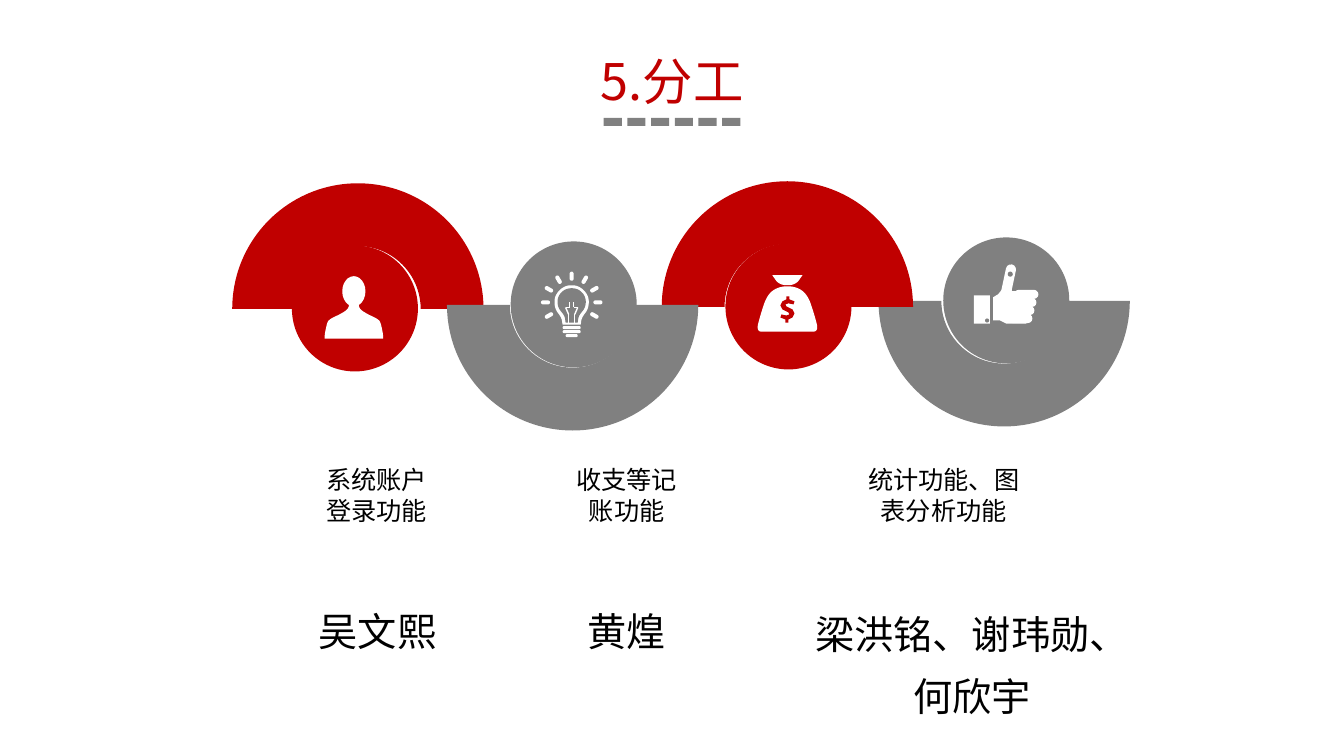
from itertools import pairwise
from math import cos, radians, sin

from lxml.etree import SubElement
from pptx import Presentation
from pptx.chart.data import CategoryChartData
from pptx.dml.color import RGBColor
from pptx.enum.chart import XL_CHART_TYPE as Chart
from pptx.enum.shapes import MSO_CONNECTOR as Link, MSO_SHAPE as Shape
from pptx.enum.text import MSO_AUTO_SIZE as Fit, PP_ALIGN as Align
from pptx.oxml import parse_xml
from pptx.oxml.ns import nsdecls, qn
from pptx.util import Inches, Pt

HEX = {"red": "C00000", "gray": "808080", "white": "FFFFFF", "black": "000000"}
RGB = {name: RGBColor.from_string(code) for name, code in HEX.items()}
FONT = "Noto Sans CJK SC"
PILL, OVAL, RECT = Shape.ROUNDED_RECTANGLE, Shape.OVAL, Shape.RECTANGLE

deck = Presentation()
deck.slide_width, deck.slide_height = Inches(13.33), Inches(7.5)
slide = deck.slides.add_slide(deck.slide_layouts[6])
shapes = slide.shapes


def draw(form, x, y, color, wide=0, high=0, turn=0):
    """Draw a preset centred on x, y, or a list of points measured from x, y."""
    if isinstance(form, list):
        dots = [(Inches(x + dx), Inches(y + dy)) for dx, dy in form]
        pen = shapes.build_freeform(*dots[0], scale=1.0)
        pen.add_line_segments(dots[1:], close=True)
        shape = pen.convert_to_shape()
    else:
        shape = shapes.add_shape(form, Inches(x - wide / 2), Inches(y - high / 2),
                                 Inches(wide), Inches(high))
        if form == PILL:
            shape.adjustments[0] = 0.5
        shape.rotation = turn
    shape.shadow.inherit = False
    shape.fill.solid()
    shape.fill.fore_color.rgb = RGB[color]
    shape.line.fill.background()


def mirror(half):
    """Close a right-hand profile with its reflection and round the corners.

    A point given twice stays sharp.
    """
    dots = half + [(-x, y) for x, y in reversed(half)]
    for _ in range(3):
        dots = [(a[0] + (b[0] - a[0]) * t, a[1] + (b[1] - a[1]) * t)
                for a, b in pairwise(dots + dots[:1]) for t in (0.25, 0.75)]
    return dots


# Half rings, each with a disc: the gray ones hang, the red ones arch
LAYOUT = (
    f'<c:layout {nsdecls("c")}><c:manualLayout><c:layoutTarget val="inner"/>'
    '<c:xMode val="edge"/><c:yMode val="edge"/><c:x val="0.2"/><c:y val="0.05"/>'
    '<c:w val="0.6"/><c:h val="0.9"/></c:manualLayout></c:layout>'
)
CLEAR = f'<c:spPr {nsdecls("c", "a")}><a:noFill/><a:ln><a:noFill/></a:ln></c:spPr>'
DISC = 1.25
badges = {
    "thumb": (7.88, 1.6, 9.98, 2.98, "gray"),
    "person": (1.47, 1.68, 3.52, 3.06, "red"),
    "purse": (5.73, 1.66, 7.82, 3.04, "red"),
    "bulb": (3.6, 1.64, 5.69, 3.02, "gray"),
}
for left, top, x, y, color in badges.values():
    data = CategoryChartData()
    data.categories = ["1", "2"]
    data.add_series("Series 1", (50, 50))
    chart = shapes.add_chart(Chart.DOUGHNUT, Inches(left), Inches(top),
                             Inches(4.16), Inches(2.77), data).chart
    chart.has_legend = chart.has_title = False
    for key, value in {"name": "Calibri", "size": Pt(10)}.items():
        setattr(chart.font, key, value)
    chart.font.color.rgb = RGB["black"]
    root = chart.element
    for tag, value in {"c:firstSliceAng": "90", "c:holeSize": "73"}.items():
        next(root.iter(qn(tag))).set("val", value)
    area = next(root.iter(qn("c:plotArea")))
    for old in area.findall(qn("c:layout")):
        area.remove(old)
    area.insert(0, parse_xml(LAYOUT))
    root.find(qn("c:chart")).addnext(parse_xml(CLEAR))
    for i, side in enumerate(("gray", "red")):
        form = chart.plots[0].series[0].points[i].format
        form.line.fill.background()
        if side == color:
            form.fill.solid()
            form.fill.fore_color.rgb = RGB[color]
        else:
            form.fill.background()
    draw(OVAL, x, y, color, DISC, DISC)

# Thumb: cuff with a button, palm, thumb with a nail, four fingers
x, y = badges["thumb"][2:4]
palm = [(-0.13, -0.03), (-0.08, -0.06), (-0.04, -0.11), (0, -0.2), (0.06, -0.09),
        (0.2, -0.09), (0.2, 0.23), (0, 0.23), (-0.06, 0.2), (-0.13, 0.2)]
draw(RECT, x - 0.24, y + 0.09, "white", 0.16, 0.28)
draw(OVAL, x - 0.19, y + 0.2, "gray", 0.04, 0.04)
draw(palm, x, y, "white")
draw(PILL, x + 0.02, y - 0.18, "white", 0.1, 0.36, 12)
draw(OVAL, x + 0.04, y - 0.26, "gray", 0.05, 0.05)
for i in range(4):
    draw(PILL, x + 0.2 - 0.02 * i, y - 0.06 + 0.08 * i, "white", 0.24, 0.09)

# Person: head over shoulders
x, y = badges["person"][2:4]
torso = [(0.05, -0.06), (0.05, 0), (0.12, 0.05), (0.25, 0.11), (0.27, 0.16),
         (0.29, 0.26), (0.29, 0.3), (0.29, 0.3)]
draw(OVAL, x - 0.01, y - 0.17, "white", 0.23, 0.3)
draw(mirror(torso), x - 0.01, y, "white")

# Purse: tie over bag, and a dollar sign whose half turns into the other half
x, y = badges["purse"][2:4]
tie = [(0.15, -0.31), (0.15, -0.31), (0.08, -0.21)]
bag = [(0.08, -0.2), (0.2, -0.12), (0.27, 0.09), (0.31, 0.25), (0.2, 0.25)]
for part in (tie, bag):
    draw(mirror(part), x - 0.01, y, "white")
hook = [(0.01, 0.1), (0.01, 0.13), (-0.02, 0.13), (-0.02, 0.1), (-0.07, 0.08),
        (-0.06, 0.05), (-0.01, 0.06), (0.02, 0.05), (0.01, 0.03), (-0.05, 0),
        (-0.07, -0.04), (-0.05, -0.08)]
draw(hook + [(-dx, -dy) for dx, dy in hook], x - 0.01, y + 0.03, "red")

# Bulb: glass, filament, socket bars, and a ray at every 30 degrees
x, y = badges["bulb"][2] - 0.02, badges["bulb"][3]
glass = [(0.07, -0.19), (0.17, -0.09), (0.17, 0.04), (0.1, 0.13), (0.09, 0.2), (0.09, 0.2)]
hollow = [(0.06, -0.16), (0.14, -0.08), (0.14, 0.03), (0.07, 0.11), (0.06, 0.18), (0.06, 0.18)]
draw(mirror(glass), x, y, "white")
draw(mirror(hollow), x, y, "gray")
wire = [(0.02, -0.02), (0.02, 0.03), (0.06, 0.03), (0.03, 0.1), (0.03, 0.18)]
for side in (-1, 1):
    for (ax, ay), (bx, by) in pairwise(wire):
        line = shapes.add_connector(Link.STRAIGHT, Inches(x + side * ax), Inches(y + ay),
                                    Inches(x + side * bx), Inches(y + by))
        line.line.color.rgb = RGB["white"]
        line.line.width = Pt(1)
        SubElement(line._element.spPr, qn("a:effectLst"))
for i, wide in enumerate((0.18, 0.18, 0.12)):
    draw(PILL, x, y + 0.23 + 0.04 * i, "white", wide, 0.03)
for angle in range(-30, 211, 30):
    turn = radians(angle)
    draw(PILL, x + 0.26 * cos(turn), y - 0.02 - 0.26 * sin(turn), "white", 0.09, 0.04, -angle)

# Title, tasks and names
texts = [
    ("系统账户登录功能", 3.07, 4.56, 1.33, 0.71, 18, "black", 1),
    ("吴文熙", 2.81, 5.84, 1.87, 0.67, 28, "black", 1.3),
    ("收支等记账功能", 5.55, 4.56, 1.33, 0.71, 18, "black", 1),
    ("黄煌", 5.28, 5.84, 1.87, 0.67, 28, "black", 1.3),
    ("统计功能、图表分析功能", 8.44, 4.56, 1.84, 1.01, 18, "black", 1),
    ("梁洪铭、谢玮勋、何欣宇", 7.89, 5.87, 3.5, 1.28, 28, "black", 1.3),
    ("5.分工", 4.47, 0.45, 4.39, 0.71, 36, "red", 1),
]
for words, *place, size, color, gap in texts:
    frame = shapes.add_textbox(*map(Inches, place)).text_frame
    frame.word_wrap, frame.auto_size = True, Fit.SHAPE_TO_FIT_TEXT
    para = frame.paragraphs[0]
    para.alignment, para.line_spacing = Align.CENTER, gap
    run = para.add_run()
    run.text = words
    for key, value in {"size": Pt(size), "name": FONT}.items():
        setattr(run.font, key, value)
    run.font.color.rgb = RGB[color]
    SubElement(run._r.get_or_add_rPr(), qn("a:ea"), typeface=FONT)

# Dashes under the title, centred on the slide
for i in range(6):
    draw(RECT, 13.33 / 2 + 0.235 * (i - 2.5), 1.21, "gray", 0.18, 0.08)

deck.save("out.pptx")
